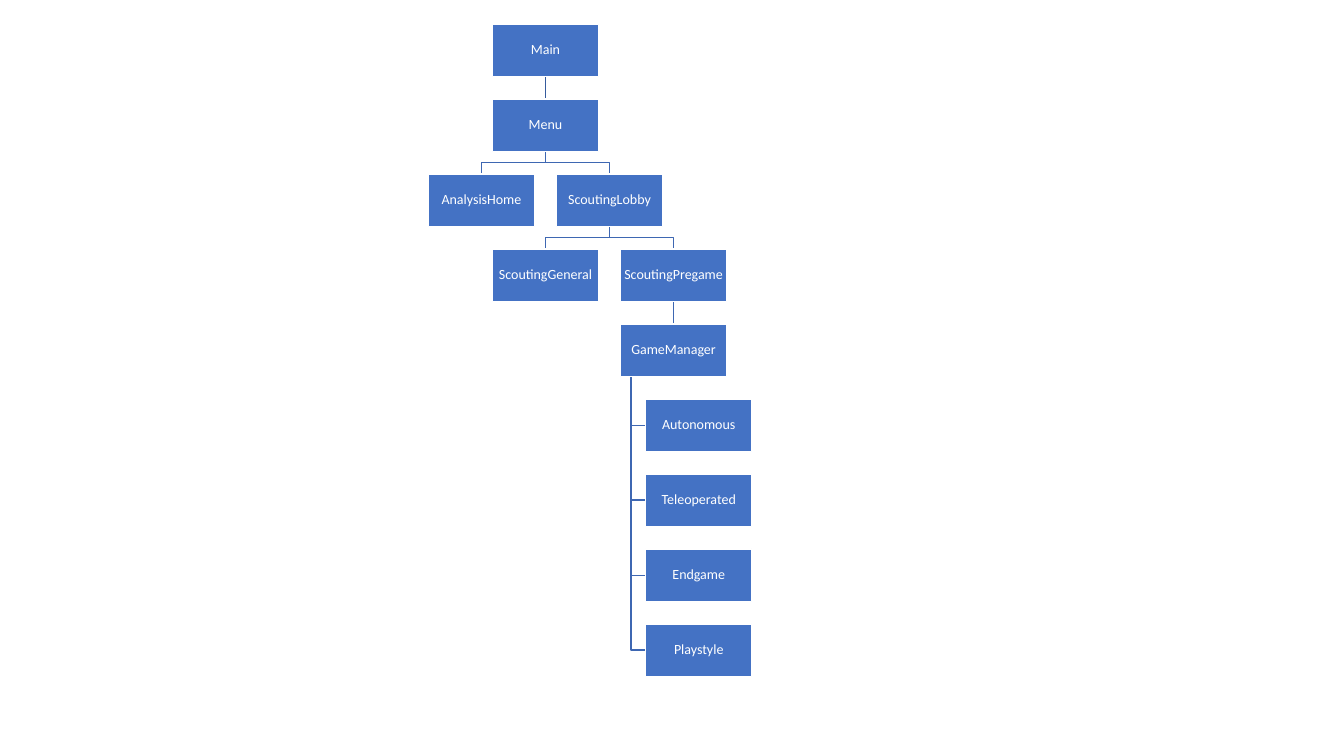
from pptx import Presentation
from pptx.dml.color import RGBColor
from pptx.enum.shapes import MSO_CONNECTOR, MSO_SHAPE
from pptx.enum.text import MSO_ANCHOR, PP_ALIGN
from pptx.oxml import parse_xml
from pptx.oxml.ns import nsdecls
from pptx.util import Inches, Pt

BLUE = RGBColor(0x44, 0x72, 0xC4)
LINK_BLUE = RGBColor(0x3E, 0x67, 0xB2)
ROOT_LINK_BLUE = RGBColor(0x36, 0x5B, 0x9D)
WHITE = RGBColor(0xFF, 0xFF, 0xFF)

BOX_WIDTH, BOX_HEIGHT = 1.05, 0.52
TOP, ROW_STEP = 0.24, 5.95 / 8
MENU_CENTER, HALF_STEP = 5.41, 1.27 / 2
STEP_CENTER = 6.93
TRUNK_X = 6.26

SCREENS = {
    "Main": (MENU_CENTER, 0),
    "Menu": (MENU_CENTER, 1),
    "AnalysisHome": (MENU_CENTER - HALF_STEP, 2),
    "ScoutingLobby": (MENU_CENTER + HALF_STEP, 2),
    "ScoutingGeneral": (MENU_CENTER, 3),
    "ScoutingPregame": (MENU_CENTER + 2 * HALF_STEP, 3),
    "GameManager": (MENU_CENTER + 2 * HALF_STEP, 4),
    "Autonomous": (STEP_CENTER, 5),
    "Teleoperated": (STEP_CENTER, 6),
    "Endgame": (STEP_CENTER, 7),
    "Playstyle": (STEP_CENTER, 8),
}
CHILDREN = {
    "GameManager": ["Playstyle", "Endgame", "Teleoperated", "Autonomous"],
    "ScoutingPregame": ["GameManager"],
    "ScoutingLobby": ["ScoutingPregame", "ScoutingGeneral"],
    "Menu": ["ScoutingLobby", "AnalysisHome"],
    "Main": ["Menu"],
}


def row_top(row):
    """Return the top of a row of boxes in inches."""
    return TOP + row * ROW_STEP


def link_points(parent, child):
    """Return the corners of the link between two screens."""
    parent_x, parent_row = SCREENS[parent]
    child_x, child_row = SCREENS[child]
    start_y, end_y = row_top(parent_row) + BOX_HEIGHT, row_top(child_row)
    if parent == "GameManager":
        middle_y = end_y + BOX_HEIGHT / 2
        return [(TRUNK_X, start_y), (TRUNK_X, middle_y),
                (child_x - BOX_WIDTH / 2, middle_y)]
    if parent_x == child_x:
        return [(parent_x, start_y), (child_x, end_y)]
    middle_y = (start_y + end_y) / 2
    return [(parent_x, start_y), (parent_x, middle_y),
            (child_x, middle_y), (child_x, end_y)]


def add_link(page, points, color):
    """Draw a straight connector or a bent open outline."""
    corners = [(Inches(x), Inches(y)) for x, y in points]
    if len(corners) == 2:
        link = page.shapes.add_connector(MSO_CONNECTOR.STRAIGHT, *corners[0], *corners[1])
        link._element.spPr.append(parse_xml(f"<a:effectLst {nsdecls('a')}/>"))
    else:
        builder = page.shapes.build_freeform(*corners[0])
        builder.add_line_segments(corners[1:], close=False)
        link = builder.convert_to_shape()
        link.fill.background()
        link.shadow.inherit = False
    link.line.color.rgb = color
    link.line.width = Pt(1)


def add_screen(page, name, center, row):
    """Draw one labelled screen box."""
    box = page.shapes.add_shape(
        MSO_SHAPE.RECTANGLE, Inches(center - BOX_WIDTH / 2), Inches(row_top(row)),
        Inches(BOX_WIDTH), Inches(BOX_HEIGHT))
    box.shadow.inherit = False
    box.fill.solid()
    box.fill.fore_color.rgb = BLUE
    box.line.color.rgb = WHITE
    box.line.width = Pt(1)
    frame = box.text_frame
    frame.text = name
    frame.word_wrap = True
    frame.vertical_anchor = MSO_ANCHOR.MIDDLE
    frame.margin_left = frame.margin_right = Inches(0.01)
    frame.margin_top = frame.margin_bottom = Inches(0.01)
    para = frame.paragraphs[0]
    para.alignment = PP_ALIGN.CENTER
    para.line_spacing = 0.9
    span = para.runs[0]
    span.font.name = "Calibri"
    span.font.size = Pt(10)
    span.font.color.rgb = WHITE


def main():
    """Build the screen hierarchy slide."""
    deck = Presentation()
    deck.slide_width, deck.slide_height = Inches(13.33), Inches(7.5)
    page = deck.slides.add_slide(deck.slide_layouts[6])
    for parent, children in CHILDREN.items():
        color = ROOT_LINK_BLUE if parent == "Main" else LINK_BLUE
        for child in children:
            add_link(page, link_points(parent, child), color)
    for name, (center, row) in SCREENS.items():
        add_screen(page, name, center, row)
    deck.save("out.pptx")


main()
